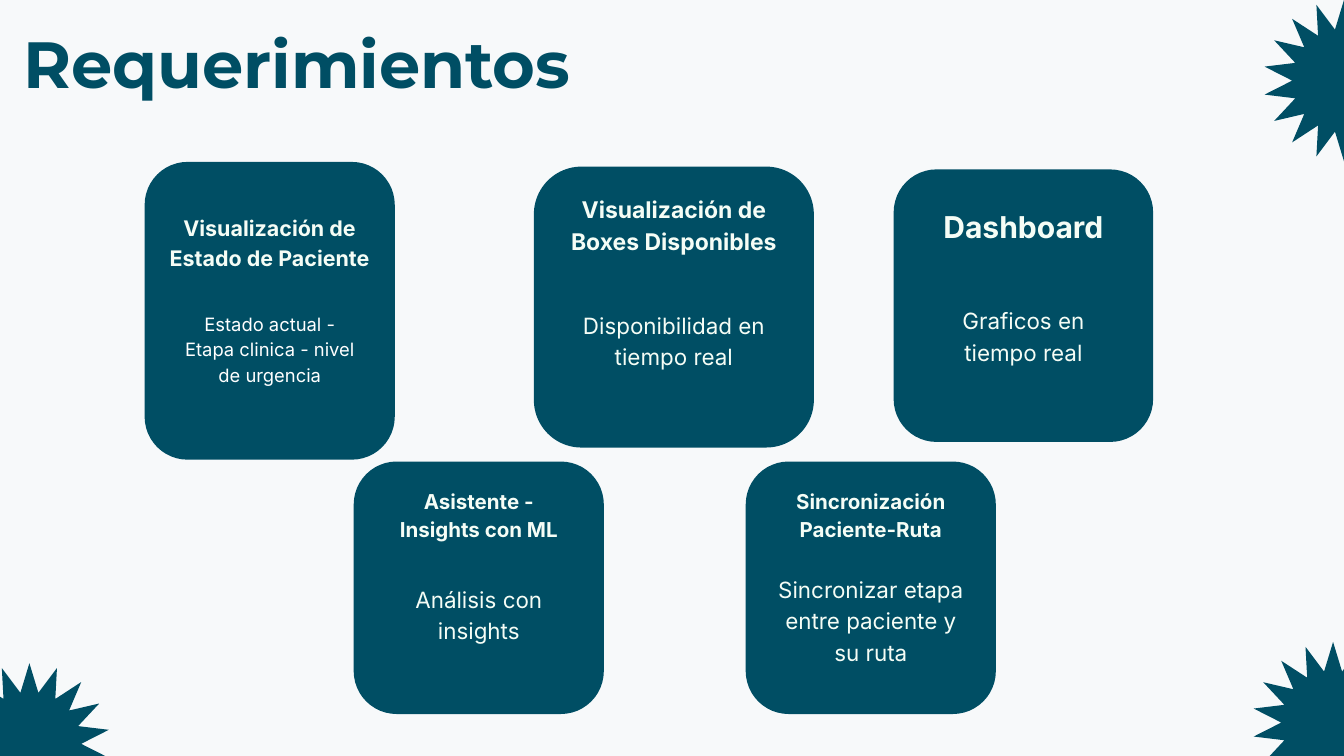
import math

import pptx
import pptx.dml.color
import pptx.enum.shapes
import pptx.enum.text
import pptx.util

Pt = pptx.util.Pt
ALIGN = pptx.enum.text.PP_ALIGN

COLORS = {"teal": "004E64", "background": "F7F9FA", "mint": "F5FDF6", "white": "FFFFFF"}
LINE_FACTOR = 1.4

# Card box and corner radius, then (text, top, width, height, size, colour);
# tops are measured from the card's top
CARDS = [
    ((572, 178.5, 300, 301), 51,
     ("Visualización de Boxes Disponibles", 26.5, 229, 66, 24.6, "mint"),
     ("Disponibilidad en tiempo real", 151, 211, 65, 24, "mint")),
    ((379, 494.5, 268, 270.5), 46,
     ("Asistente - Insights con ML", 24.5, 205, 59, 22, "mint"),
     ("Análisis con insights", 128.5, 204, 65, 24, "mint")),
    ((799, 494.5, 268, 270.5), 46,
     ("Sincronización Paciente-Ruta", 24.5, 205, 59, 22, "mint"),
     ("Sincronizar etapa entre paciente y su ruta", 118, 204, 98, 24, "mint")),
    ((155, 173.5, 268, 319), 46,
     ("Visualización de Estado de Paciente", 52.5, 222.5, 61, 23, "mint"),
     ("Estado actual - Etapa clinica - nivel de urgencia", 157.5, 189.5, 79, 19.7, "white")),
    ((957.5, 181.5, 278, 292), 46,
     ("Dashboard", 35.5, 212.5, 42, 32.2, "mint"),
     ("Graficos en tiempo real", 143, 204, 64, 24, "mint")),
]

# Centres of the decorative bursts
BURSTS = [(31.5, 797), (1440, 86.4), (1428.3, 774.2)]


def rgb(name):
    return pptx.dml.color.RGBColor.from_string(COLORS[name])


def paint(sp):
    sp.shadow.inherit = False
    sp.fill.solid()
    sp.fill.fore_color.rgb = rgb("teal")
    sp.line.fill.background()


def write(sp, text, font, size, color, bold, align, spacing):
    tf = sp.text_frame
    tf.word_wrap = True
    tf.auto_size = pptx.enum.text.MSO_AUTO_SIZE.NONE
    tf.vertical_anchor = pptx.enum.text.MSO_ANCHOR.TOP
    tf.margin_left = tf.margin_top = tf.margin_right = tf.margin_bottom = 0
    p = tf.paragraphs[0]
    p.text = text
    p.alignment = align
    p.line_spacing = Pt(spacing)
    p.font.name = font
    p.font.size = Pt(size)
    p.font.bold = bold
    p.font.color.rgb = rgb(color)


def add_title(s, box):
    sp = s.shapes.title
    sp.left, sp.top, sp.width, sp.height = (Pt(v) for v in box)
    write(sp, "Requerimientos", "Montserrat", 70, "teal", True, ALIGN.LEFT, 70)


def add_burst(s, cx, cy, outer=86.4, inner=55.5, spikes=18):
    points = []
    for i in range(2 * spikes):
        radius = inner if i % 2 else outer
        angle = math.pi * i / spikes
        points.append((Pt(cx + radius * math.sin(angle)), Pt(cy - radius * math.cos(angle))))
    builder = s.shapes.build_freeform(*points[0])
    builder.add_line_segments(points[1:], close=True)
    paint(builder.convert_to_shape())


def add_card(s, box, radius, heading, body):
    left, top, width, height = box
    sp = s.shapes.add_shape(pptx.enum.shapes.MSO_SHAPE.ROUNDED_RECTANGLE,
                            *(Pt(v) for v in box))
    sp.adjustments[0] = radius / min(width, height)
    paint(sp)
    for (text, dy, w, h, size, color), bold in ((heading, True), (body, False)):
        # Both texts are centred across the card
        tb = s.shapes.add_textbox(Pt(left + (width - w) / 2), Pt(top + dy), Pt(w), Pt(h))
        write(tb, text, "Inter", size, color, bold, ALIGN.CENTER, round(size * LINE_FACTOR, 1))


def main():
    prs = pptx.Presentation()
    prs.slide_width, prs.slide_height = Pt(1440), Pt(810)
    s = prs.slides.add_slide(prs.slide_layouts[5])
    s.background.fill.solid()
    s.background.fill.fore_color.rgb = rgb("background")

    add_title(s, (25, 39, 1387.5, 73.5))
    for cx, cy in BURSTS:
        add_burst(s, cx, cy)
    for card in CARDS:
        add_card(s, *card)

    prs.save("out.pptx")


if __name__ == "__main__":
    main()
